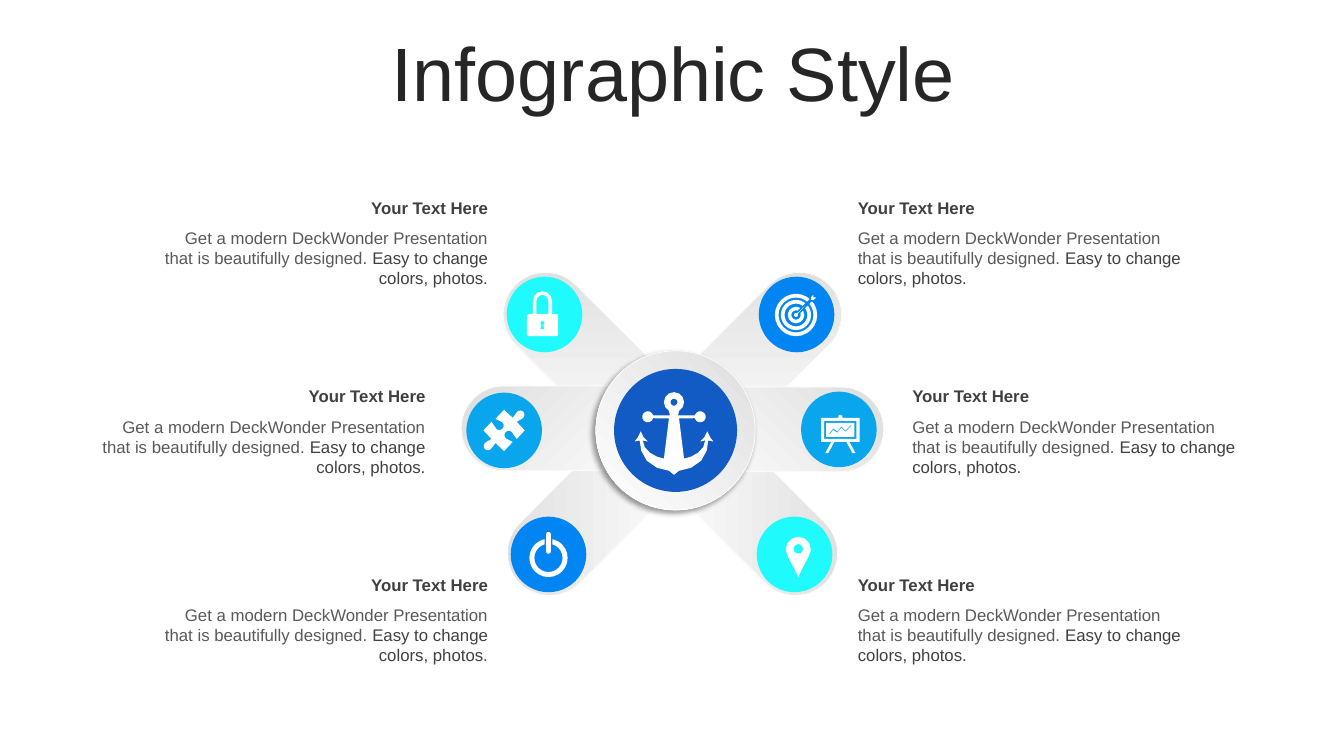
from dataclasses import dataclass
from math import cos, radians, sin

from lxml import etree
from pptx import Presentation
from pptx import util as u
from pptx.dml.color import RGBColor
from pptx.enum import shapes as sh, text as tx
from pptx.oxml import ns


@dataclass(frozen=True)
class Theme:
    font: str = "Arial"
    big: int = 54
    small: int = 12
    title: str = "262626"
    dark: str = "404040"
    soft: str = "595959"
    white: str = "FFFFFF"
    grey: str = "DEDEDE"
    navy: str = "125AC4"
    blue: str = "0085F2"
    sky: str = "0AA6ED"
    cyan: str = "1FFBFD"


T = Theme()
HEAD = "Your Text Here"
BODY = "Get a modern DeckWonder Presentation that is beautifully designed. "
TAIL = "Easy to change colors, photos."


# Outlines: points in hundredths of an inch from the centre of a disc
def arc(x, y, r, a=0, b=360):
    n = max(2, round(abs(b - a) / 30))
    turns = [radians(a + (b - a) * i / n) for i in range(n + 1)]
    return [(x + r * cos(t), y + r * sin(t)) for t in turns]


def rect(x, y, right, low):
    return [(x, y), (right, y), (right, low), (x, low)]


def lock():
    body = (arc(-2, -13.5, 9.5, 180, 360) + [(7.5, -0.5)]
            + arc(11.5, 1.5, 2, -90, 0) + arc(11.5, 19.5, 2, 0, 90)
            + arc(-15.5, 19.5, 2, 90, 180) + arc(-15.5, 1.5, 2, 180, 270)
            + [(-11.5, -0.5)])
    bow = arc(-2, -13.5, 6, 180, 360) + [(4, -0.5), (-8, -0.5)]
    key = arc(-2, 8.5, 2, 120, 420) + [(0, 14.5), (-4, 14.5)]
    return [body, bow, key]


def puzzle():
    half = ([(0, -20.5), (8.5, -12.5)] + arc(16, -15.5, 4.2, 210, 420)
            + [(12.5, -8.5), (20.5, 0), (12.5, 8.5)]
            + arc(4.7, 4.7, 4.4, -50, -230) + [(8.5, 11.5)])
    return [half + [(-x, -y) for x, y in half]]


def power():
    return [arc(0, -20, 3.2, 180, 360) + arc(0, -3, 3.2, 0, 180)]


def dart():
    tip = [(13.5, -14.5), (13.5, -17.5), (17.5, -21.5), (17.5, -17.5),
           (21.5, -17.5), (17.5, -13.5), (14.5, -13.5)]
    return [tip + arc(-0.5, 0.5, 2.8, -20, 290)]


def board():
    stand = [(-0.5, -11.5), (-0.5, -13.5), (1.5, -14.5), (3.5, -13.5),
             (3.5, -11.5), (20.5, -11.5), (20.5, 12.5), (10.5, 12.5),
             (16.5, 23.5), (13.5, 23.5), (7.5, 12.5), (-4.5, 12.5),
             (-10.5, 23.5), (-13.5, 23.5), (-7.5, 12.5), (-17.5, 12.5),
             (-17.5, -11.5)]
    line = [(-9.5, 4), (-5.5, -1), (-1.5, 2), (2.5, -3), (6.5, 1), (12.5, -5)]
    trend = line + [(x, y + 1.4) for x, y in reversed(line)]
    return [stand, rect(-14.5, -8.5, 17.5, 9.5),
            rect(-12.5, -6.5, 15.5, 7.5), trend]


def pin():
    drop = arc(3.75, -5, 12.5, 145, 395) + [(8, 13.5), (3.75, 22.5), (-0.5, 13.5)]
    return [drop, arc(3.75, -5.5, 4.75)]


def anchor():
    half = (arc(0, -28, 10, -90, 60) + [(4, -15)]
            + arc(26, -13.5, 5.5, 195, 525)
            + [(5, -12), (10, 28), (17, 26), (24, 22), (29, 16.5), (31, 10),
               (26, 11), (30, 7), (33, 1), (36, 7), (39, 11), (34, 10),
               (32.5, 20), (27, 30), (17, 37), (5, 40), (0, 44)])
    full = half + [(-x, y) for x, y in reversed(half)]
    return [[(x - 1.5, y) for x, y in part] for part in (full, arc(0, -28, 3.5))]


# Basic parts
def color(name):
    return RGBColor.from_string(name)


def plain(shape, fill):
    shape.shadow.inherit = False
    shape.fill.solid()
    shape.fill.fore_color.rgb = color(fill)
    shape.line.fill.background()


def block(slide, kind, x, y, wide, high):
    """Preset shape centred on x, y."""
    return slide.shapes.add_shape(
        kind, u.Inches(x - wide / 2), u.Inches(y - high / 2),
        u.Inches(wide), u.Inches(high))


def icon(slide, x, y, parts, rings=(), edge=None):
    """White rings (x, y, outer, inner), then an outline with a gap colour."""
    for a, b, out, inn in rings:
        hoop = block(slide, sh.MSO_SHAPE.DONUT, x + a / 100, y + b / 100,
                     out / 50, out / 50)
        hoop.adjustments[0] = (out - inn) / (2 * out)
        plain(hoop, T.white)
    pts = [[(u.Inches(x + a / 100), u.Inches(y + b / 100)) for a, b in part]
           for part in parts]
    pen = slide.shapes.build_freeform(*pts[0][0], scale=1.0)
    for i, part in enumerate(pts):
        if i:
            pen.move_to(*part[0])
        pen.add_line_segments(part[1:], close=True)
    form = pen.convert_to_shape()
    plain(form, T.white)
    if edge:
        form.line.color.rgb = color(edge)
        form.line.width = u.Pt(1)


def disc(slide, x, y, size, fill):
    plain(block(slide, sh.MSO_SHAPE.OVAL, x, y, size, size), fill)


def shade(shape):
    shape.shadow.inherit = False
    shape.fill.gradient()
    shape.fill.gradient_angle = 225
    for stop, name in zip(shape.fill.gradient_stops, (T.grey, T.white)):
        stop.color.rgb = color(name)
    shape.line.color.rgb = color(T.white)
    shape.line.width = u.Pt(0.5)


def label(slide, x, y, wide, high, runs, size, align, bold=None):
    box = slide.shapes.add_textbox(*map(u.Inches, (x, y, wide, high)))
    frame = box.text_frame
    frame.word_wrap = True
    par = frame.paragraphs[0]
    par.alignment = align
    par.font.name, par.font.size, par.font.bold = T.font, u.Pt(size), bold
    for words, name in runs:
        run = par.add_run()
        run.text = words
        run.font.color.rgb = color(name)
    return frame


# Regions
def title(slide, x, y, wide, high):
    frame = label(slide, x, y, wide, high, [("Infographic Style", T.title)],
                  T.big, tx.PP_ALIGN.CENTER)
    frame.vertical_anchor = tx.MSO_ANCHOR.MIDDLE
    frame.paragraphs[0].line_spacing = 0.9


def arm(slide, x, y, turn, left, spot, fill, parts, rings=()):
    pill = block(slide, sh.MSO_SHAPE.ROUNDED_RECTANGLE, x, y, 2.05, 0.84)
    pill.adjustments[0] = 0.5
    pill.rotation = turn
    shade(pill)
    if left:
        pill._element.spPr.find(ns.qn("a:xfrm")).set("flipH", "1")
    disc(slide, *spot, 0.75, fill)
    icon(slide, *spot, parts, rings, fill if rings else None)


def hub(slide, x, y):
    rim = block(slide, sh.MSO_SHAPE.OVAL, x, y, 1.58, 1.58)
    shade(rim)
    glow = etree.SubElement(
        rim._element.spPr.find(ns.qn("a:effectLst")), ns.qn("a:outerShdw"),
        blurRad=str(u.Pt(4)), dist=str(u.Pt(3)), dir=str(135 * 60000),
        algn="ctr", rotWithShape="0")
    tint = etree.SubElement(glow, ns.qn("a:srgbClr"), val="000000")
    etree.SubElement(tint, ns.qn("a:alpha"), val="40000")
    disc(slide, x, y, 1.22, T.navy)
    icon(slide, x, y, anchor())


def note(slide, x, y, align):
    label(slide, x, y, 3.46, 0.3, [(HEAD, T.dark)], T.small, align, True)
    label(slide, x, y + 0.3, 3.46, 0.71, [(BODY, T.soft), (TAIL, T.dark)],
          T.small, align)


def main():
    deck = Presentation()
    deck.slide_width, deck.slide_height = u.Inches(13.33), u.Inches(7.5)
    slide = deck.slides.add_slide(deck.slide_layouts[6])
    title(slide, 0.35, 0.37, 12.66, 0.79)

    # Pill centre, turn, left side, disc centre, colour, icon, rings
    hoops = [(-0.5, 0.5, out, inn)
             for out, inn in ((21, 17.3), (15, 11.3), (8.2, 4.7))]
    arms = [
        (5.88, 5.06, 315, True, (5.44, 5.5), T.blue, power(), [(0, 3.5, 19, 14)]),
        (5.84, 3.55, 45, True, (5.4, 3.12), T.cyan, lock()),
        (5.6, 4.25, 0, True, (5.0, 4.27), T.sky, puzzle()),
        (7.46, 5.06, 45, False, (7.88, 5.5), T.cyan, pin()),
        (7.5, 3.55, 315, False, (7.9, 3.12), T.blue, dart(), hoops),
        (7.74, 4.26, 0, False, (8.32, 4.26), T.sky, board()),
    ]
    for spec in arms:
        arm(slide, *spec)
    hub(slide, 6.7, 4.27)

    # Three rows of notes, the middle one further out
    for row, (left, right) in enumerate(((1.48, 8.41), (0.86, 8.95), (1.48, 8.41))):
        y = 1.91 + 1.87 * row
        note(slide, left, y, tx.PP_ALIGN.RIGHT)
        note(slide, right, y, tx.PP_ALIGN.LEFT)
    deck.save("out.pptx")


if __name__ == "__main__":
    main()
